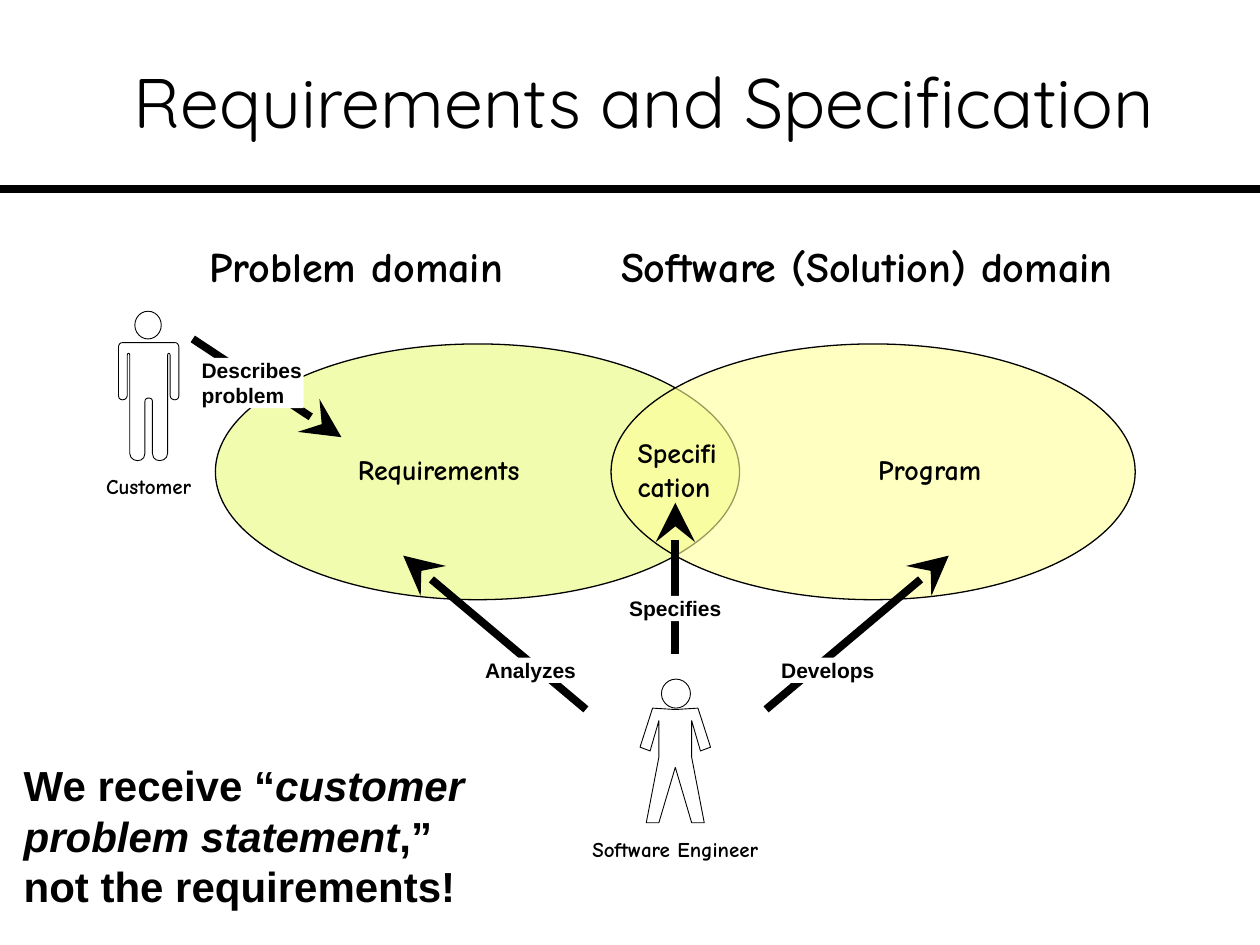
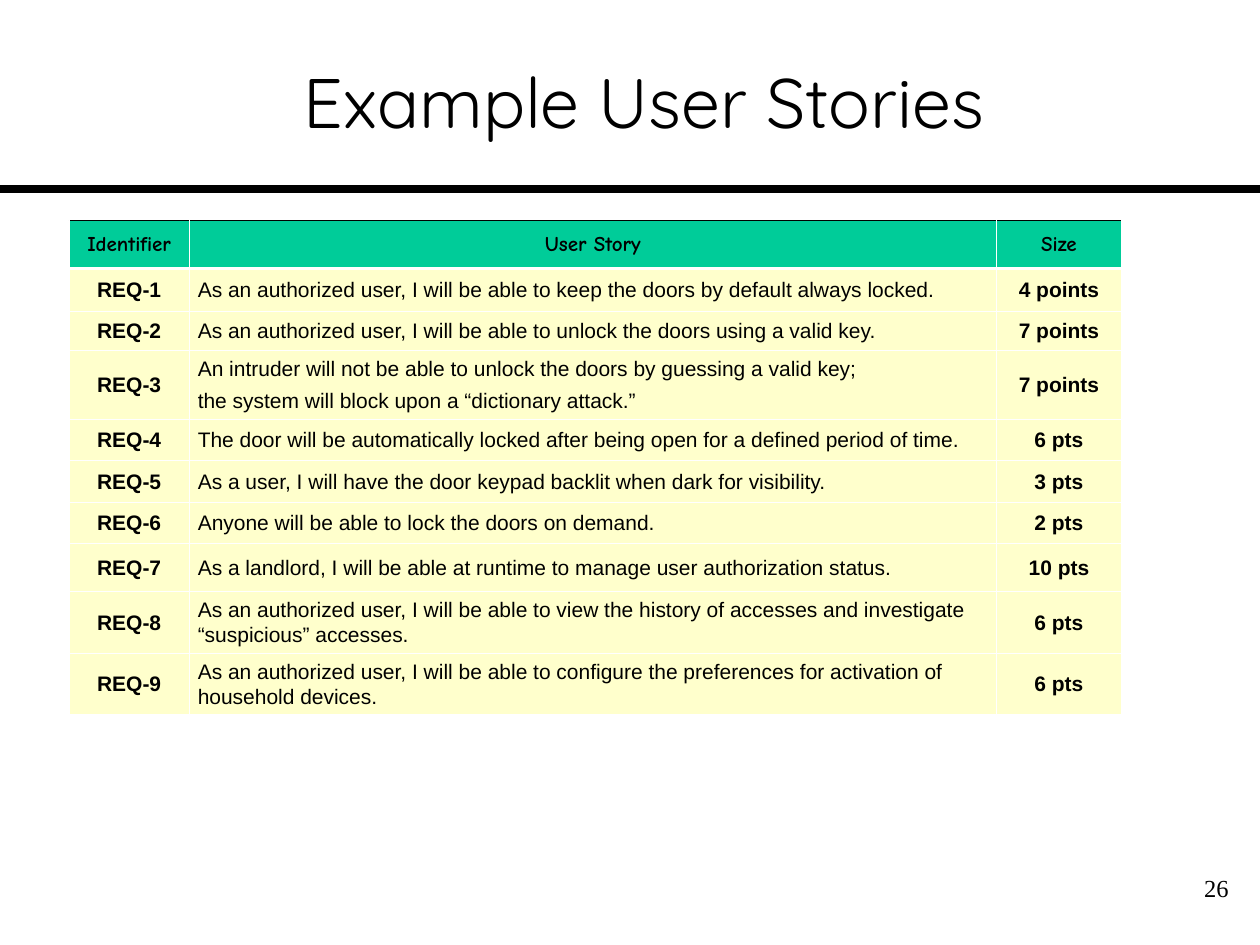
from lxml import etree
from pptx import Presentation
from pptx.dml.color import RGBColor
from pptx.enum.shapes import MSO_CONNECTOR, MSO_SHAPE
from pptx.enum.text import MSO_ANCHOR, MSO_AUTO_SIZE, PP_ALIGN
from pptx.oxml.ns import qn
from pptx.util import Inches, Pt

LEFT, MID, RIGHT = PP_ALIGN.LEFT, PP_ALIGN.CENTER, PP_ALIGN.RIGHT
MIDDLE, GROW = MSO_ANCHOR.MIDDLE, MSO_AUTO_SIZE.SHAPE_TO_FIT_TEXT
OVAL, STRAIGHT = MSO_SHAPE.OVAL, MSO_CONNECTOR.STRAIGHT

COLORS = {"ink": "000000", "paper": "FFFFFF", "lime": "F1FCAE",
          "lemon": "FFFF99", "head": "00CC99", "row": "FFFFCC"}

# Text styles
TITLE = {"name": "Quicksand", "size": Pt(40), "bold": False}
HEADING = {"name": "Comic Neue", "size": Pt(24), "bold": True}
REGION = {**HEADING, "size": Pt(16)}
ACTOR = {**HEADING, "size": Pt(12)}
ACTION = {**ACTOR, "name": "Arial"}
STORY = {**ACTION, "bold": False}
CLAIM = {**ACTION, "size": Pt(24)}
PAGE = {"name": "Times New Roman", "size": Pt(14), "bold": False}

# Slide 1: box, text, style, alignment
TITLES = ["Requirements and Specification", "Example User Stories"]
DOMAINS = [((1.71, 2.73, 4.16, 2.03), "lime", None),
           ((4.85, 2.73, 4.16, 2.03), "lemon", 60)]
NAMES = [
    ((1.65, 1.91, 2.36, 0.4), "Problem domain", HEADING, LEFT),
    ((4.91, 1.91, 3.93, 0.4), "Software (Solution) domain", HEADING, RIGHT),
    ((5.05, 3.46, 0.65, 0.53), "Specifi\ncation", REGION, LEFT),
    ((2.83, 3.59, 1.31, 0.27), "Requirements", REGION, LEFT),
    ((6.96, 3.59, 0.85, 0.27), "Program", REGION, LEFT),
    ((0.83, 3.76, 0.7, 0.2), "Customer", ACTOR, MID),
    ((4.69, 6.64, 1.34, 0.2), "Software Engineer", ACTOR, MID),
]
ACTIONS = [
    ((1.59, 2.84, 0.82, 0.4), "Describes\nproblem", ACTION, LEFT),
    ((4.96, 4.73, 0.8, 0.2), "Specifies", ACTION, MID),
    ((3.84, 5.22, 0.8, 0.2), "Analyzes", ACTION, LEFT),
    ((6.19, 5.22, 0.8, 0.2), "Develops", ACTION, LEFT),
]
ARROWS = [((5.36, 5.19), (5.36, 3.99)), ((1.53, 2.69), (2.71, 3.47)),
          ((4.65, 5.63), (3.2, 4.41)), ((6.08, 5.63), (7.53, 4.41))]
STATEMENT = [("We receive “", False), ("customer problem statement", True),
             (",” not the requirements!", False)]

# Left half of each body: (offset from axis, y), or six numbers for a curve
FIGURES = [
    {"axis": 1.18, "face": (1.07, 2.47, 0.21, 0.22), "half": [
        (0, 2.72), (-0.21, 2.72), (-0.23, 2.72, -0.24, 2.74, -0.24, 2.76),
        (-0.24, 3.14), (-0.24, 3.19, -0.17, 3.18, -0.17, 3.14),
        (-0.17, 2.82), (-0.17, 2.8, -0.15, 2.8, -0.15, 2.82),
        (-0.15, 3.6), (-0.15, 3.67, -0.03, 3.68, -0.03, 3.6),
        (-0.03, 3.19), (-0.03, 3.17, -0.02, 3.16, 0, 3.16)]},
    {"axis": 5.36, "face": (5.25, 5.39, 0.23, 0.23), "half": [
        (0, 5.63), (-0.02, 5.63), (-0.18, 5.62), (-0.28, 5.93), (-0.2, 5.96),
        (-0.13, 5.72), (-0.13, 6.01), (-0.23, 6.53), (-0.13, 6.53),
        (0, 6.09)]},
]

# Slide 2
HEADER = ("Identifier", "User Story", "Size")
STORIES = [
    ("As an authorized user, I will be able to keep the doors by default "
     "always locked.", "4 points"),
    ("As an authorized user, I will be able to unlock the doors using a "
     "valid key.", "7 points"),
    ("An intruder will not be able to unlock the doors by guessing a valid "
     "key;\nthe system will block upon a “dictionary attack.”", "7 points"),
    ("The door will be automatically locked after being open for a defined "
     "period of time.", "6 pts"),
    ("As a user, I will have the door keypad backlit when dark for "
     "visibility.", "3 pts"),
    ("Anyone will be able to lock the doors on demand.", "2 pts"),
    ("As a landlord, I will be able at runtime to manage user authorization "
     "status.", "10 pts"),
    ("As an authorized user, I will be able to view the history of accesses "
     "and investigate “suspicious” accesses.", "6 pts"),
    ("As an authorized user, I will be able to configure the preferences for "
     "activation of household devices.", "6 pts"),
]
WIDTHS = [0.95, 6.41, 0.99]
HEIGHTS = [0.38, 0.34, 0.31, 0.49, 0.33, 0.33, 0.33, 0.38, 0.42, 0.42]


def rgb(key):
    return RGBColor.from_string(COLORS[key])


def emu(*nums):
    return [Inches(n) for n in nums]


def apply(obj, fmt):
    for key, val in fmt.items():
        setattr(obj, key, val)


def margins(x, y):
    return dict(zip(("margin_left", "margin_right", "margin_top",
                     "margin_bottom"), emu(x, x, y, y)))


def add_run(para, text, style, **more):
    run = para.add_run()
    run.text = text
    apply(run.font, {**style, **more})
    run.font.color.rgb = rgb("ink")


def write(frame, text, style, align, **form):
    for i, line in enumerate(text.split("\n")):
        para = frame.add_paragraph() if i else frame.paragraphs[0]
        apply(para, {"alignment": align, **form})
        add_run(para, line, style)


def paint(shape, fill, width, alpha=None):
    shape.shadow.inherit = False
    shape.fill.solid()
    shape.fill.fore_color.rgb = rgb(fill)
    shape.line.color.rgb = rgb("ink")
    shape.line.width = Pt(width)
    if alpha:
        tint = shape.element.spPr.find(qn("a:solidFill")).find(qn("a:srgbClr"))
        etree.SubElement(tint, qn("a:alpha"), val=str(alpha * 1000))


def add_line(slide, start, end, arrow=False):
    line = slide.shapes.add_connector(STRAIGHT, *emu(*start, *end))
    line.line.color.rgb = rgb("ink")
    line.line.width = Pt(4.5)
    if arrow:
        etree.SubElement(line.line._get_or_add_ln(), qn("a:tailEnd"),
                         type="stealth", w="lg", len="lg")
    etree.SubElement(line.element.spPr, qn("a:effectLst"))
    return line


def add_label(slide, box, text, style, align, fill=None):
    label = slide.shapes.add_textbox(*emu(*box))
    apply(label.text_frame, {**margins(0.01, 0), "word_wrap": False,
                             "auto_size": GROW})
    if fill:
        label.fill.solid()
        label.fill.fore_color.rgb = rgb(fill)
    write(label.text_frame, text, style, align)


def add_slide(deck, title):
    slide = deck.slides.add_slide(deck.slide_layouts[5])
    head = slide.shapes.title
    apply(head, dict(zip(("left", "top", "width", "height"),
                         emu(0.42, 0.17, 9.38, 1.25))))
    apply(head.text_frame, {**margins(0, 0.05), "vertical_anchor": MIDDLE})
    write(head.text_frame, title, TITLE, MID)
    return slide


def trace(half, steps=6):
    """Flatten the curves of a half outline into points."""
    pts = []
    for step in half:
        if len(step) == 2:
            pts.append(step)
            continue
        ctrl = [pts[-1], step[:2], step[2:4], step[4:]]
        for i in range(1, steps + 1):
            t = i / steps
            part = ((1 - t) ** 3, 3 * t * (1 - t) ** 2,
                    3 * t * t * (1 - t), t ** 3)
            pts.append(tuple(sum(w * c[k] for w, c in zip(part, ctrl))
                             for k in (0, 1)))
    return pts


def add_figure(slide, axis, face, half):
    pts = trace(half)
    pts += [(-x, y) for x, y in reversed(pts[1:-1])]
    first, *rest = [emu(axis + x, y) for x, y in pts]
    pen = slide.shapes.build_freeform(*first)
    pen.add_line_segments(rest, close=True)
    paint(pen.convert_to_shape(), "paper", 0.5)
    paint(slide.shapes.add_shape(OVAL, *emu(*face)), "paper", 0.5)


def add_edges(cell, top, bottom):
    """Draw the four borders, each a (colour, width) pair."""
    side = ("paper", 0.45)
    props = cell._tc.get_or_add_tcPr()
    edges = zip(("lnL", "lnR", "lnT", "lnB"), (side, side, top, bottom))
    for i, (tag, (color, width)) in enumerate(edges):
        edge = etree.Element(qn("a:" + tag), w=str(Pt(width)))
        fill = etree.SubElement(edge, qn("a:solidFill"))
        etree.SubElement(fill, qn("a:srgbClr"), val=COLORS[color])
        props.insert(i, edge)


def draw_domains(deck):
    slide = add_slide(deck, TITLES[0])
    for box, fill, alpha in DOMAINS:
        paint(slide.shapes.add_shape(OVAL, *emu(*box)), fill, 0.75, alpha)
    for fig in FIGURES:
        add_figure(slide, **fig)
    for name in NAMES:
        add_label(slide, *name)
    for start, end in ARROWS:
        add_line(slide, start, end, arrow=True)
    for action in ACTIONS:
        add_label(slide, *action, fill="paper")
    claim = slide.shapes.add_textbox(*emu(0.09, 5.98, 3.7, 1.3)).text_frame
    claim.word_wrap = True
    for text, slant in STATEMENT:
        add_run(claim.paragraphs[0], text, CLAIM, italic=slant)


def draw_stories(deck):
    slide = add_slide(deck, TITLES[1])
    rows = [HEADER] + [(f"REQ-{i}", *story)
                       for i, story in enumerate(STORIES, 1)]
    table = slide.shapes.add_table(
        len(rows), len(WIDTHS),
        *emu(0.55, 1.75, sum(WIDTHS), sum(HEIGHTS))).table
    for col, width in zip(table.columns, WIDTHS):
        col.width = Inches(width)
    thin, thick = ("paper", 0.45), ("paper", 1.47)
    for r, row in enumerate(rows):
        table.rows[r].height = Inches(HEIGHTS[r])
        top = {0: ("ink", 0.45), 1: thick}.get(r, thin)
        bottom = thick if r in (0, len(rows) - 1) else thin
        for c, text in enumerate(row):
            cell = table.cell(r, c)
            pad = 0.02 if r == c == 0 else 0.07
            apply(cell, {**margins(pad, 0.05), "vertical_anchor": MIDDLE})
            cell.fill.solid()
            cell.fill.fore_color.rgb = rgb("row" if r else "head")
            body = r and c == 1
            style = STORY if body else ACTION if r else ACTOR
            write(cell.text_frame, text, style, LEFT if body else MID,
                  line_spacing=Pt(14), space_before=Pt(2), space_after=Pt(2))
            add_edges(cell, top, bottom)
    page = slide.shapes.add_textbox(*emu(9.26, 6.88, 0.59, 0.5)).text_frame
    page.word_wrap = True
    write(page, "26", PAGE, RIGHT)


def main():
    deck = Presentation()
    deck.slide_width, deck.slide_height = emu(10, 7.5)
    draw_domains(deck)
    draw_stories(deck)
    # The rule under the title belongs to the shared layout
    rule = add_line(deck.slides[0], (0, 1.5), (10, 1.5))
    deck.slide_layouts[5].shapes.element.append(rule.element)
    deck.save("out.pptx")


if __name__ == "__main__":
    main()
